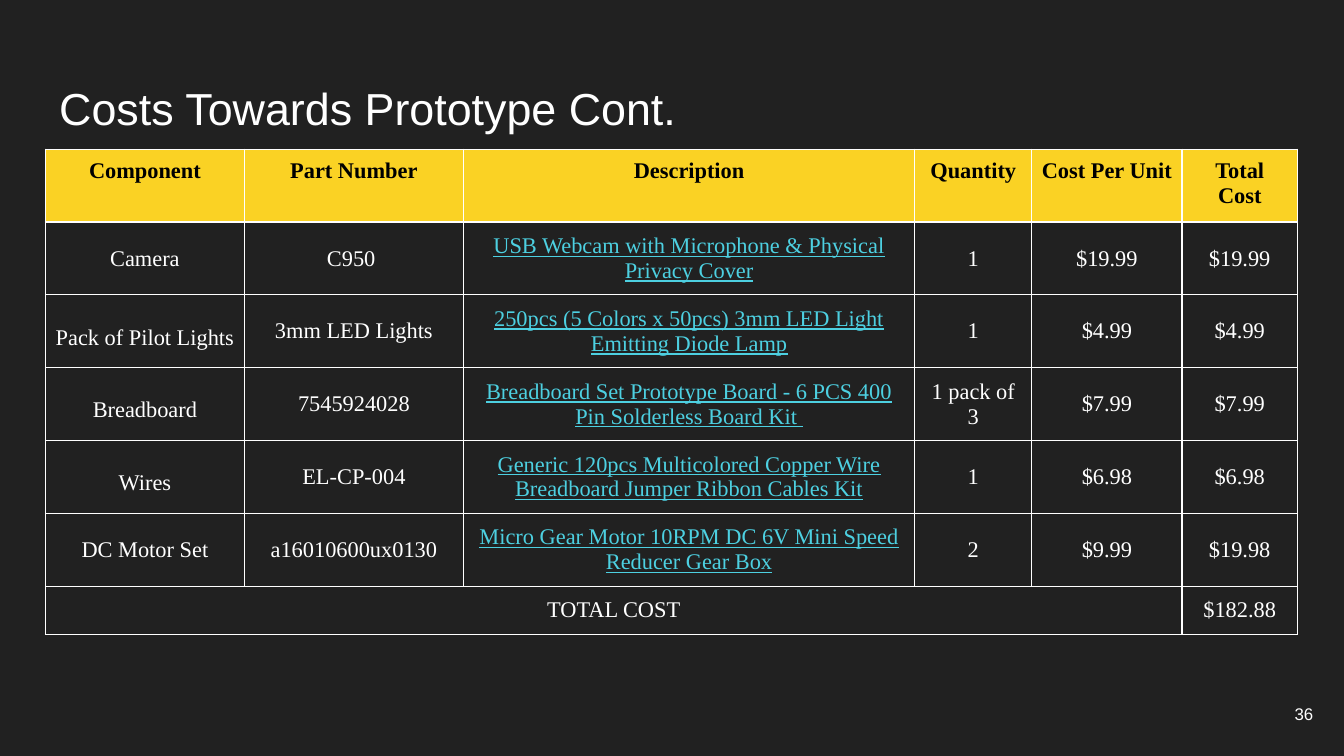
from lxml import etree
from pptx import Presentation
from pptx.dml.color import RGBColor
from pptx.enum.text import MSO_ANCHOR, PP_ALIGN
from pptx.oxml.ns import qn
from pptx.util import Cm, Pt

MIDDLE = MSO_ANCHOR.MIDDLE
TOP = MSO_ANCHOR.TOP
LEFT = PP_ALIGN.LEFT
CENTER = PP_ALIGN.CENTER
RIGHT = PP_ALIGN.RIGHT

COLORS = {
    "background": "212121",
    "header": "FAD224",
    "black": "000000",
    "white": "FFFFFF",
    "product": "4DD0E1",
}


def write_text(frame, text, size, font, color, align):
    paragraph = frame.paragraphs[0]
    paragraph.alignment = align
    span = paragraph.add_run()
    span.text = text
    span.font.size = Pt(size)
    span.font.name = font
    span.font.color.rgb = RGBColor.from_string(COLORS[color])
    return paragraph, span


def add_border(cell, side, width):
    line = etree.SubElement(cell._tc.get_or_add_tcPr(), qn(f"a:{side}"), w=str(Pt(width)))
    fill = etree.SubElement(line, qn("a:solidFill"))
    etree.SubElement(fill, qn("a:srgbClr"), val=COLORS["white"])


deck = Presentation()
deck.slide_width = Cm(25.4)
deck.slide_height = Cm(14.29)
page = deck.slides.add_slide(deck.slide_layouts[6])
page.background.fill.solid()
page.background.fill.fore_color.rgb = RGBColor.from_string(COLORS["background"])

captions = [
    ("Costs Towards Prototype Cont.", 0.87, 1.24, 23.67, 1.6, 24, LEFT),
    ("36", 23.55, 12.95, 1.52, 1.09, 9, RIGHT),
]
for text, left, top, width, height, size, align in captions:
    box = page.shapes.add_textbox(Cm(left), Cm(top), Cm(width), Cm(height))
    frame = box.text_frame
    frame.word_wrap = True
    frame.vertical_anchor = MIDDLE
    frame.margin_left = frame.margin_right = Cm(0.25)
    frame.margin_top = frame.margin_bottom = Cm(0.25)
    write_text(frame, text, size, "Arial", "white", align)

rows = [
    ["Component", "Part Number", "Description", "Quantity", "Cost Per Unit", "Total Cost"],
    ["Camera", "C950 ", "USB Webcam with Microphone & Physical Privacy Cover",
     "1", "$19.99", "$19.99"],
    ["Pack of Pilot Lights", "3mm LED Lights",
     "250pcs (5 Colors x 50pcs) 3mm LED Light Emitting Diode Lamp", "1", "$4.99", "$4.99"],
    ["Breadboard", "7545924028",
     "Breadboard Set Prototype Board - 6 PCS 400 Pin Solderless Board Kit ",
     "1 pack of 3", "$7.99", "$7.99"],
    ["Wires", "EL-CP-004",
     "Generic 120pcs Multicolored Copper Wire Breadboard Jumper Ribbon Cables Kit",
     "1", "$6.98", "$6.98"],
    ["DC Motor Set", "a16010600ux0130",
     "Micro Gear Motor 10RPM DC 6V Mini Speed Reducer Gear Box", "2", "$9.99", "$19.98"],
    ["TOTAL COST", "", "", "", "", "$182.88"],
]
widths = [3.76, 4.14, 8.53, 2.21, 2.84, 2.18]
row_height = 0.91
last_row = len(rows) - 1
last_column = len(widths) - 1
loose_rows = (2, 3, 4)

table = page.shapes.add_table(
    len(rows), len(widths), Cm(0.86), Cm(2.82), Cm(sum(widths)), Cm(row_height * len(rows))
).table
table.first_row = False
table.horz_banding = False
for column, width in zip(table.columns, widths):
    column.width = Cm(width)
for row in table.rows:
    row.height = Cm(row_height)
table.cell(last_row, 0).merge(table.cell(last_row, last_column - 1))

for row_index, row in enumerate(rows):
    is_header = row_index == 0
    for column_index, text in enumerate(row):
        cell = table.cell(row_index, column_index)
        cell.margin_left = cell.margin_right = Cm(0.18)
        cell.margin_top = cell.margin_bottom = Cm(0.18)
        cell.vertical_anchor = TOP if is_header else MIDDLE
        before_total = column_index == last_column - 1 or (
            row_index == last_row and column_index == 0
        )
        add_border(cell, "lnL", 1 if column_index == last_column else 0.75)
        add_border(cell, "lnR", 1 if before_total else 0.75)
        add_border(cell, "lnT", 0.75)
        add_border(cell, "lnB", 0.75)
        cell.fill.solid()
        cell.fill.fore_color.rgb = RGBColor.from_string(
            COLORS["header" if is_header else "background"]
        )
        if not text:
            continue
        is_product = column_index == 2 and not is_header
        color = "black" if is_header else "product" if is_product else "white"
        paragraph, span = write_text(
            cell.text_frame, text, 12, "Times New Roman", color, CENTER
        )
        span.font.bold = is_header
        span.font.underline = is_product
        if column_index == 0 and row_index in loose_rows:
            paragraph.line_spacing = 1.5

deck.save("out.pptx")
